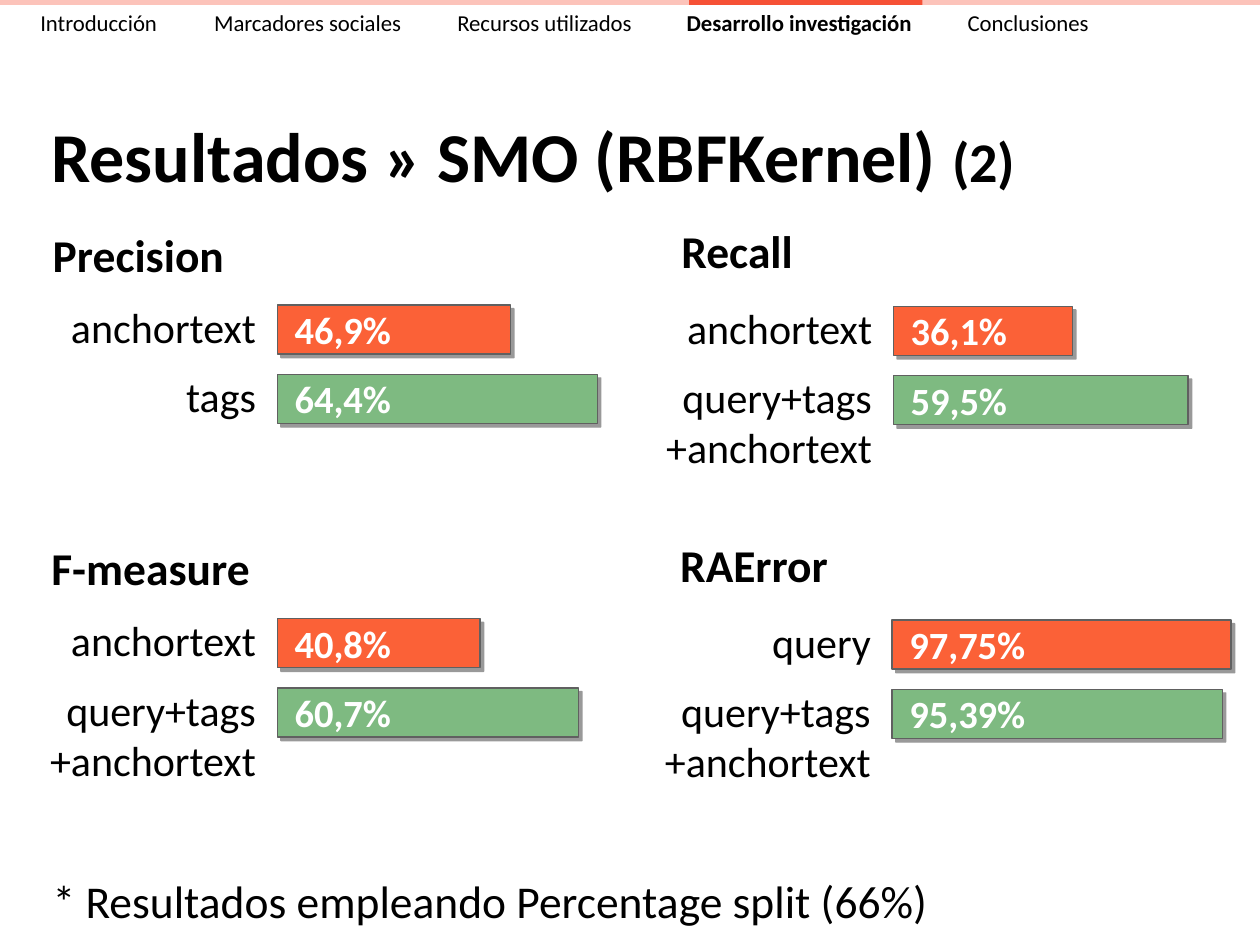
from dataclasses import dataclass
from typing import Optional

from lxml.etree import SubElement
from pptx import Presentation
from pptx.dml.color import RGBColor
from pptx.enum.shapes import MSO_SHAPE
from pptx.enum.text import MSO_ANCHOR, PP_ALIGN
from pptx.oxml.ns import qn
from pptx.util import Inches, Pt

FONT = "Calibri"
BLACK, WHITE = "000000", "FFFFFF"
ORANGE, GREEN, BAR_BORDER = "FB6137", "7EBA81", "606060"
NAVIGATION_PALE, NAVIGATION_ACTIVE = "FCC3BA", "F65136"
BAR_HEIGHT, ROW_PITCH = 0.39, 0.55


@dataclass(frozen=True)
class Run:
    text: str
    size: float
    bold: bool = False
    colour: str = BLACK


@dataclass(frozen=True)
class Bar:
    label: str
    value: str

    def width(self, inches_per_percent: float) -> float:
        percent = float(self.value.rstrip("%").replace(",", "."))
        return round(percent * inches_per_percent, 2)


@dataclass(frozen=True)
class Panel:
    """A heading and two bars; left and top are those of the first bar."""
    heading: str
    heading_left: float
    heading_top: float
    left: float
    top: float
    inches_per_percent: float
    bars: tuple[Bar, Bar]


PANELS = (
    Panel("Precision", 0.32, 1.75, 2.2, 2.42, 0.0394,
          (Bar("anchortext", "46,9%"), Bar("tags", "64,4%"))),
    Panel("Recall", 5.31, 1.72, 7.09, 2.43, 0.0394,
          (Bar("anchortext", "36,1%"), Bar("query+tags\n+anchortext", "59,5%"))),
    Panel("F-measure", 0.31, 4.24, 2.2, 4.91, 0.0394,
          (Bar("anchortext", "40,8%"), Bar("query+tags\n+anchortext", "60,7%"))),
    Panel("RAError", 5.3, 4.21, 7.08, 4.92, 0.0275,
          (Bar("query", "97,75%"), Bar("query+tags\n+anchortext", "95,39%"))),
)

SECTIONS = ("Introducción", "Marcadores sociales", "Recursos utilizados",
            "Desarrollo investigación", "Conclusiones")
ACTIVE_SECTION = "Desarrollo investigación"
SECTION_STOPS = (1.38, 3.31, 5.13, 7.36)


def rgb(colour: str) -> RGBColor:
    return RGBColor.from_string(colour)


def add_run(paragraph, run: Run) -> None:
    """Add the run, with a line break wherever its text has a new line."""
    for number, line in enumerate(run.text.split("\n")):
        if number:
            paragraph.add_line_break()
        text_run = paragraph.add_run()
        text_run.text = line
        font = text_run.font
        font.name, font.size, font.bold = FONT, Pt(run.size), run.bold
        font.color.rgb = rgb(run.colour)


def add_text(slide, left: float, top: float, width: float, height: float,
             *runs: Run, align=PP_ALIGN.LEFT, anchor=MSO_ANCHOR.TOP):
    text_box = slide.shapes.add_textbox(
        Inches(left), Inches(top), Inches(width), Inches(height))
    frame = text_box.text_frame
    frame.word_wrap = True
    frame.vertical_anchor = anchor
    paragraph = frame.paragraphs[0]
    paragraph.alignment = align
    for run in runs:
        add_run(paragraph, run)
    return text_box


def add_rectangle(slide, left: float, top: float, width: float, height: float,
                  fill: str, border: Optional[str] = None):
    shape = slide.shapes.add_shape(
        MSO_SHAPE.RECTANGLE, Inches(left), Inches(top), Inches(width), Inches(height))
    shape.fill.solid()
    shape.fill.fore_color.rgb = rgb(fill)
    if border:
        shape.line.color.rgb = rgb(border)
        shape.line.width = Pt(0.75)
    else:
        shape.line.fill.background()
    shape.shadow.inherit = False
    return shape


def add_hard_shadow(shape) -> None:
    effects = shape.element.spPr.find(qn("a:effectLst"))
    shadow = SubElement(effects, qn("a:outerShdw"), blurRad="0",
                        dist=str(Pt(3)), dir=str(45 * 60000),
                        algn="tl", rotWithShape="0")
    colour = SubElement(shadow, qn("a:srgbClr"), val=BLACK)
    SubElement(colour, qn("a:alpha"), val="40000")


def add_panel(slide, panel: Panel) -> None:
    add_text(slide, panel.heading_left, panel.heading_top, 1.87, 0.6,
             Run(panel.heading, 26, bold=True))
    for row, (bar, colour) in enumerate(zip(panel.bars, (ORANGE, GREEN))):
        top = panel.top + row * ROW_PITCH
        rectangle = add_rectangle(slide, panel.left, top,
                                  bar.width(panel.inches_per_percent),
                                  BAR_HEIGHT, colour, BAR_BORDER)
        add_hard_shadow(rectangle)
        add_text(slide, panel.left + 0.04, top - 0.04, 1.14, 0.6,
                 Run(bar.value, 22, bold=True, colour=WHITE))
        label_width = 2.1 if "\n" in bar.label else 1.72
        add_text(slide, panel.left - 0.07 - label_width, top - 0.08, label_width, 0.6,
                 Run(bar.label, 24), align=PP_ALIGN.RIGHT)


def add_navigation(slide) -> None:
    add_rectangle(slide, 0, 0, 10, 0.04, NAVIGATION_PALE)
    add_rectangle(slide, 5.47, 0, 1.85, 0.04, NAVIGATION_ACTIVE)
    text_box = add_text(slide, 0.1, 0.02, 9.77, 0.32)
    text_box.text_frame.margin_left = Inches(0.22)
    paragraph = text_box.text_frame.paragraphs[0]
    tab_list = SubElement(paragraph._p.get_or_add_pPr(), qn("a:tabLst"))
    for stop in SECTION_STOPS:
        SubElement(tab_list, qn("a:tab"), pos=str(Inches(stop)), algn="l")
    for number, section in enumerate(SECTIONS):
        if number:
            add_run(paragraph, Run("\t", 13))
        add_run(paragraph, Run(section, 13, bold=section == ACTIVE_SECTION))


def main() -> None:
    presentation = Presentation()
    presentation.slide_width, presentation.slide_height = Inches(10), Inches(7.5)
    slide = presentation.slides.add_slide(presentation.slide_layouts[6])
    add_text(slide, 0.31, 0.86, 9.61, 0.74,
             Run("Resultados » SMO (RBFKernel) ", 40, bold=True),
             Run("(2)", 32, bold=True), anchor=MSO_ANCHOR.MIDDLE)
    for panel in PANELS:
        add_panel(slide, panel)
    add_text(slide, 0.32, 6.88, 9.37, 0.54,
             Run("* Resultados empleando Percentage split (66%)", 26))
    add_navigation(slide)
    presentation.save("out.pptx")


if __name__ == "__main__":
    main()
